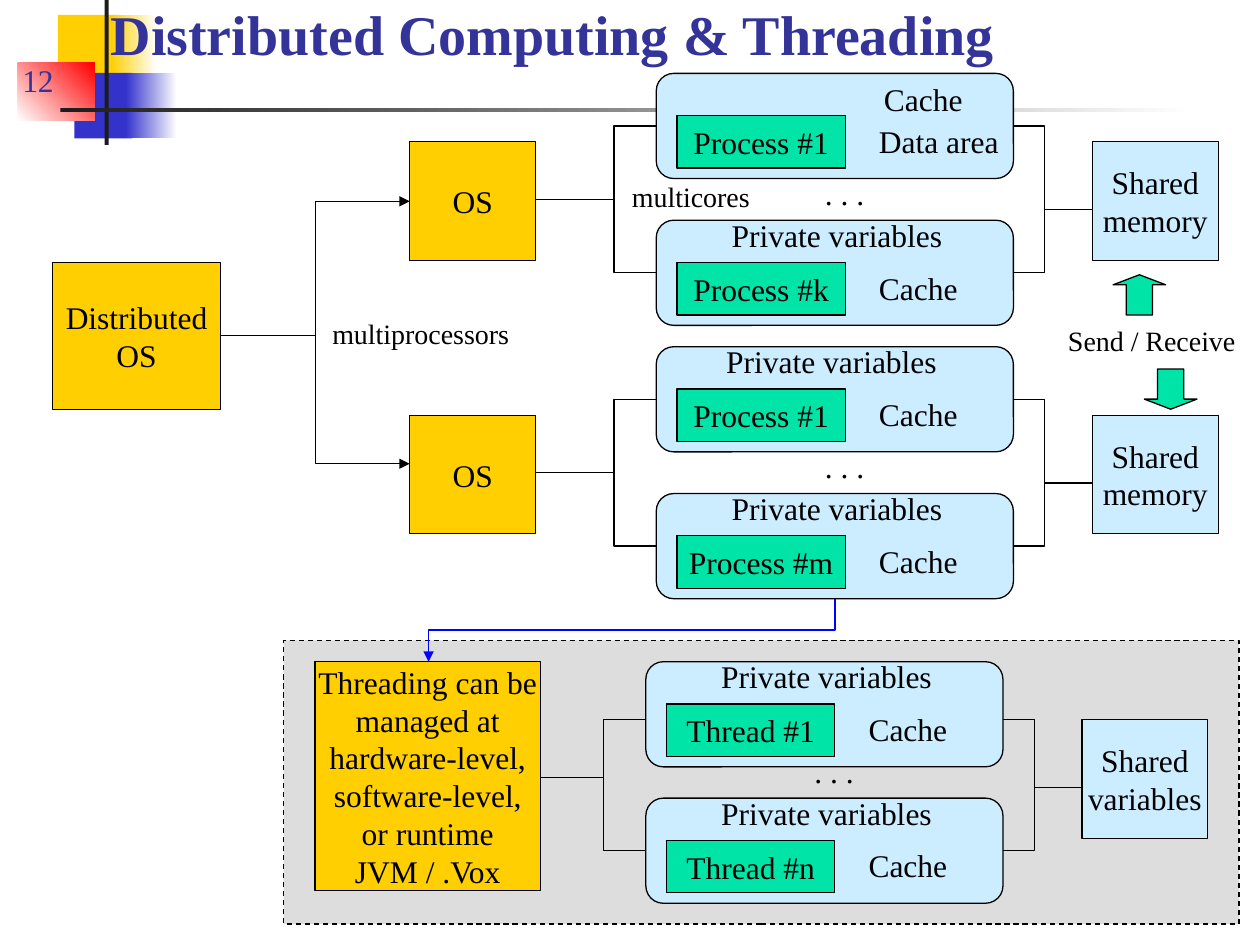
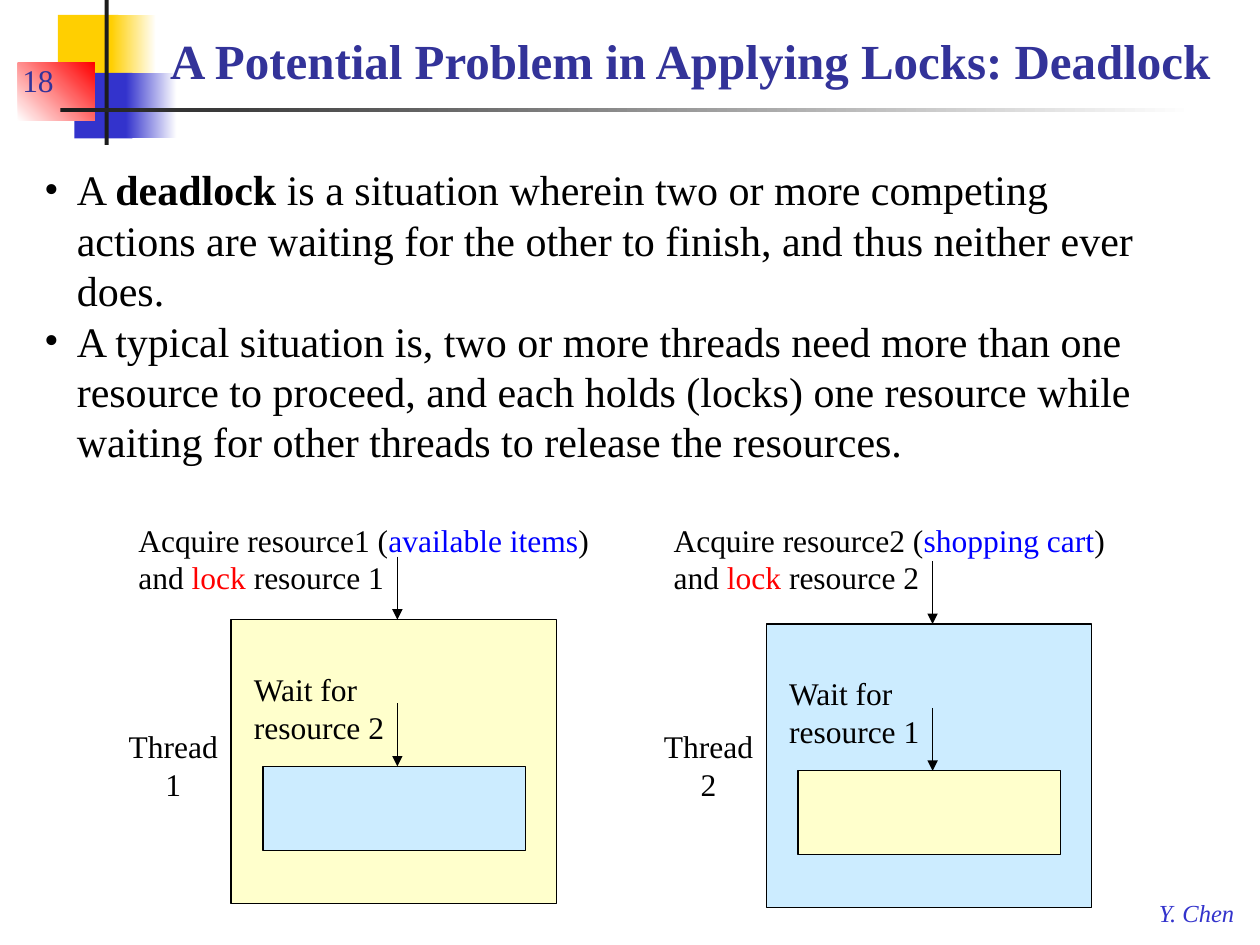
from dataclasses import dataclass
from typing import NamedTuple

from lxml import etree
from pptx import Presentation
from pptx.dml.color import RGBColor
from pptx.enum.dml import MSO_LINE
from pptx.enum.shapes import MSO_CONNECTOR, MSO_SHAPE
from pptx.enum.text import MSO_ANCHOR, MSO_AUTO_SIZE, PP_ALIGN
from pptx.oxml.ns import qn
from pptx.util import Cm, Pt

RECT = MSO_SHAPE.RECTANGLE
ROUND = MSO_SHAPE.FLOWCHART_ALTERNATE_PROCESS
UP, DOWN = MSO_SHAPE.UP_ARROW, MSO_SHAPE.DOWN_ARROW
STRAIGHT, ELBOW = MSO_CONNECTOR.STRAIGHT, MSO_CONNECTOR.ELBOW
LEFT, CENTER = PP_ALIGN.LEFT, PP_ALIGN.CENTER
BOTTOM, MIDDLE = MSO_ANCHOR.BOTTOM, MSO_ANCHOR.MIDDLE
GROW = MSO_AUTO_SIZE.SHAPE_TO_FIT_TEXT
DASH = MSO_LINE.DASH

# Colours and text formats
GOLD, SKY, GREEN, CREAM, GREY = "FFCF01", "CCECFF", "00E4A8", "FFFFCC", "DDDDDD"
BLACK, WHITE, INK, NAVY, INDIGO = "000000", "FFFFFF", "1C1C1C", "333399", "3333CC"
BLUE, RED = "0000FF", "FF0000"
FACE = "Times New Roman"
PLAIN = {"name": FACE, "size": Pt(18), "color": BLACK}
SMALL = PLAIN | {"size": Pt(16)}
BODY = PLAIN | {"size": Pt(24)}
PAGE = PLAIN | {"color": NAVY}
HEAD = PAGE | {"bold": True}
FOOT = PLAIN | {"size": Pt(14), "color": INDIGO, "italic": True}

Point = tuple[float, float]


class Spot(NamedTuple):
    left: float
    top: float
    wide: float
    high: float


class Run(NamedTuple):
    text: str
    form: dict = {}


class Note(NamedTuple):
    """A label placed relative to its node."""
    text: str
    right: float
    down: float
    wide: float


class Node(NamedTuple):
    name: str
    notes: tuple[Note, ...]


@dataclass
class Cluster:
    left: float
    top: float
    pitch: float
    arm: float
    owner: Spot
    title: list
    nodes: tuple[Node, Node]
    shared: str


@dataclass
class Thread:
    left: float
    top: float
    own: int
    other: int
    item: str
    wide: float
    outer: str
    inner: str


# Drawing helpers
def rgb(code: str) -> RGBColor:
    return RGBColor.from_string(code)


def style(font, form: dict) -> None:
    for key, value in form.items():
        if key == "color":
            font.color.rgb = rgb(value)
        else:
            setattr(font, key, value)


def write(frame, paras: list, form: dict, align=LEFT, **setup) -> None:
    """Fill a frame; each paragraph is a string or a list of runs."""
    for key, value in setup.items():
        setattr(frame, key, value)
    for i, runs in enumerate(paras):
        para = frame.add_paragraph() if i else frame.paragraphs[0]
        para.alignment = align
        for part in [Run(runs)] if isinstance(runs, str) else runs:
            run = para.add_run()
            run.text = part.text
            style(run.font, form | part.form)


def label(slide, spot: Spot, paras: list, form: dict = PLAIN, align=LEFT, **setup):
    frame = slide.shapes.add_textbox(*map(Cm, spot)).text_frame
    write(frame, paras, form, align, **({"word_wrap": False, "auto_size": GROW} | setup))
    return frame


def box(slide, spot: Spot, fill: str, paras: list = [], kind=RECT, edge: str = BLACK,
        fade: str = "", angle: float = 0):
    shape = slide.shapes.add_shape(kind, *map(Cm, spot))
    shape.shadow.inherit = False
    if fade:
        shape.fill.gradient()
        shape.fill.gradient_angle = angle
        for stop, code in zip(shape.fill.gradient_stops, (fill, fade)):
            stop.color.rgb = rgb(code)
    else:
        shape.fill.solid()
        shape.fill.fore_color.rgb = rgb(fill)
    if edge:
        outline(shape, edge)
    else:
        shape.line.fill.background()
    if paras:
        write(shape.text_frame, paras, PLAIN, CENTER,
              word_wrap=False, vertical_anchor=MIDDLE)
    return shape


def outline(shape, code: str = BLACK, width: float = 0.75) -> None:
    shape.line.color.rgb = rgb(code)
    shape.line.width = Pt(width)


def link(slide, start: Point, end: Point, kind=STRAIGHT, code: str = BLACK,
         width: float = 0.75, arrow: bool = False):
    line = slide.shapes.add_connector(kind, *map(Cm, start + end))
    outline(line, code, width)
    if arrow:
        etree.SubElement(line.line._get_or_add_ln(), qn("a:tailEnd"), type="triangle")
    etree.SubElement(line._element.spPr, qn("a:effectLst"))
    return line


def drop(slide, start: Point, end: Point, code: str, width: float) -> None:
    """Elbow arrow that leaves downwards: a level elbow turned by 90 degrees."""
    mid = (start[0] + end[0]) / 2, (start[1] + end[1]) / 2
    turned = [(mid[0] + y - mid[1], mid[1] - x + mid[0]) for x, y in (start, end)]
    line = link(slide, *turned, ELBOW, code, width, True)
    line._element.spPr.xfrm.set("rot", "5400000")


def bracket(slide, edge: float, spine: float, top: float, base: float) -> None:
    pen = slide.shapes.build_freeform(Cm(edge), Cm(top), scale=1.0)
    pen.add_line_segments([(Cm(x), Cm(y)) for x, y in
                           ((spine, top), (spine, base), (edge, base))], close=False)
    shape = pen.convert_to_shape()
    shape.shadow.inherit = False
    shape.fill.background()
    outline(shape)


# Shared slide frame
BANDS = (
    (Spot(1.17, 0.3, 1.22, 1.32), GOLD, "", 0),
    (Spot(2.24, 0.3, 0.91, 1.32), GOLD, WHITE, 0),
    (Spot(1.5, 1.47, 1.17, 1.32), INDIGO, "", 0),
    (Spot(2.54, 1.47, 1.02, 1.32), INDIGO, WHITE, 0),
    (Spot(0.36, 1.27, 1.55, 1.17), WHITE, RED, 45),
    (Spot(2.11, 0, 0.08, 2.92), INK, "", 0),
    (Spot(1.22, 2.18, 22.86, 0.08), INK, WHITE, 0),
)


def start(deck, page: int, title: str, spot: Spot, size: int):
    slide = deck.slides.add_slide(deck.slide_layouts[6])
    for place, fill, fade, angle in BANDS:
        box(slide, place, fill, edge="", fade=fade, angle=angle)
    setup = {"word_wrap": True, "auto_size": None, "vertical_anchor": BOTTOM}
    label(slide, Spot(0.2, 0.84, 5.28, 1.27), [str(page)], PAGE, **setup)
    label(slide, spot, [title], HEAD | {"size": Pt(size)}, **setup)
    return slide


# Slide 1: clusters of nodes around shared memory
CACHE = Note("Cache", 4.24, 0.85, 2.11)
PRIVATE = Note("Private variables", 1.27, -0.21, 4.8)
USUAL = (PRIVATE, CACHE)
CLUSTERS = (
    Cluster(13.23, 1.48, 2.96, 1.06, Spot(8.26, 2.86, 2.54, 2.39), ["OS"],
            (Node("Process #1", (Note("Cache", 4.34, 0, 2.11),
                                 Note("Data area", 4.24, 0.85, 2.92))),
             Node("Process #k", USUAL)), "memory"),
    Cluster(13.23, 6.99, 2.96, 1.06, Spot(8.26, 8.37, 2.54, 2.39), ["OS"],
            (Node("Process #1", (PRIVATE._replace(right=1.16), CACHE)),
             Node("Process #m", USUAL)), "memory"),
    Cluster(13.02, 13.34, 2.75, 1.17, Spot(6.35, 13.34, 4.55, 4.62),
            ["Threading can be", "managed at", "hardware-level,",
             "software-level,", "or runtime", "JVM / .Vox"],
            (Node("Thread #1", USUAL), Node("Thread #n", USUAL)), "variables"),
)


def draw_cluster(slide, c: Cluster) -> None:
    for i, node in enumerate(c.nodes):
        top = c.top + i * c.pitch
        box(slide, Spot(c.left, top, 7.2, 2.12), SKY, kind=ROUND)
        for note in node.notes:
            label(slide, Spot(c.left + note.right, top + note.down, note.wide, 1.02),
                  [note.text])
        box(slide, Spot(c.left + 0.42, top + 0.85, 3.39, 1.06), GREEN, [node.name])
    label(slide, Spot(c.left + 3.15, c.top + c.pitch - 1.06, 1.3, 1.02), [". . ."])
    # Wiring
    ends = c.top + c.arm, c.top + c.pitch + 1.06
    into, out = c.top + c.pitch - 0.42, c.top + c.pitch - 0.21
    bracket(slide, c.left, c.left - 0.85, *ends)
    bracket(slide, c.left + 7.2, c.left + 7.83, *ends)
    link(slide, (c.owner.left + c.owner.wide / 2, into), (c.left - 0.85, into))
    link(slide, (c.left + 7.83, out), (c.left + 9.73, out))
    # Boxes at both ends
    box(slide, c.owner, GOLD, c.title)
    box(slide, Spot(c.left + 8.79, c.top + c.pitch - 1.58, 2.54, 2.39), SKY,
        ["Shared", c.shared])


def draw_system(deck) -> None:
    slide = start(deck, 12, "Distributed Computing & Threading",
                  Spot(1.98, 0, 22.56, 1.47), 32)
    box(slide, Spot(5.72, 12.91, 19.26, 5.72), GREY).line.dash_style = DASH
    for cluster in CLUSTERS:
        draw_cluster(slide, cluster)
    drop(slide, (16.83, 12.07), (8.64, 13.34), BLUE, 1)
    # Root of the tree
    box(slide, Spot(1.06, 5.29, 3.39, 2.96), GOLD, ["Distributed", "OS"])
    for y in (4.06, 9.35):
        link(slide, (4.45, 6.77), (8.26, y), ELBOW, arrow=True)
    # Message arrows and captions
    for kind, left, top in ((UP, 22.44, 5.54), (DOWN, 23.07, 7.44)):
        arrow = box(slide, Spot(left, top, 1.06, 0.81), GREEN, kind=kind)
        arrow.adjustments[1] = 0.25
    label(slide, Spot(21.28, 6.4, 4.11, 0.94), ["Send / Receive"], SMALL, word_wrap=True)
    label(slide, Spot(12.49, 3.5, 2.92, 0.94), ["multicores"], SMALL)
    label(slide, Spot(6.45, 6.25, 4.14, 0.94), ["multiprocessors"], SMALL)


# Slide 2: two threads that block each other
POINTS = [
    [Run("A "), Run("deadlock", {"bold": True}),
     Run(" is a situation wherein two or more competing actions are waiting for "
         "the other to finish, and thus neither ever does.")],
    "A typical situation is, two or more threads need more than one resource to "
    "proceed, and each holds (locks) one resource while waiting for other threads "
    "to release the resources.",
]
THREADS = (
    Thread(4.66, 12.49, 1, 2, "available items", 9.68, CREAM, SKY),
    Thread(15.45, 12.58, 2, 1, "shopping cart", 9.3, SKY, CREAM),
)


def draw_thread(slide, t: Thread) -> None:
    box(slide, Spot(t.left, t.top, 6.56, 5.72), t.outer)
    box(slide, Spot(t.left + 0.64, t.top + 2.96, 5.29, 1.69), t.inner)
    for tip in (t.top, t.top + 2.96):
        link(slide, (t.left + 3.35, tip - 1.27), (t.left + 3.35, tip), arrow=True)
    label(slide, Spot(t.left - 2.12, 10.37, t.wide, 1.8), [
        [Run(f"Acquire resource{t.own} ("), Run(t.item, {"color": BLUE}), Run(")")],
        [Run("and "), Run("lock", {"color": RED}), Run(f" resource {t.own}")]])
    label(slide, Spot(t.left + 0.21, t.top + 0.89, 3.15, 1.78),
          ["Wait for", f"resource {t.other}"])
    label(slide, Spot(t.left - 2.32, 14.53, 2.31, 1.78), ["Thread", str(t.own)],
          align=CENTER)


def draw_lock(deck) -> None:
    slide = start(deck, 18, "A Potential Problem in Applying Locks: Deadlock",
                  Spot(3.18, 0.2, 22.02, 1.73), 28)
    label(slide, Spot(23.11, 17.98, 2.08, 0.84), ["Y. Chen"], FOOT)
    frame = label(slide, Spot(0.64, 3.18, 23.29, 7.44), POINTS, BODY, word_wrap=True)
    for para in frame.paragraphs:
        props = para._p.get_or_add_pPr()
        for key, value in {"marL": Cm(0.66), "indent": Cm(-0.66)}.items():
            props.set(key, str(int(value)))
        etree.SubElement(props, qn("a:buFont"), typeface=FACE)
        etree.SubElement(props, qn("a:buChar"), char="•")
    for thread in THREADS:
        draw_thread(slide, thread)


def main() -> None:
    deck = Presentation()
    deck.slide_width, deck.slide_height = Cm(25.4), Cm(19.05)
    draw_system(deck)
    draw_lock(deck)
    deck.save("out.pptx")


if __name__ == "__main__":
    main()
